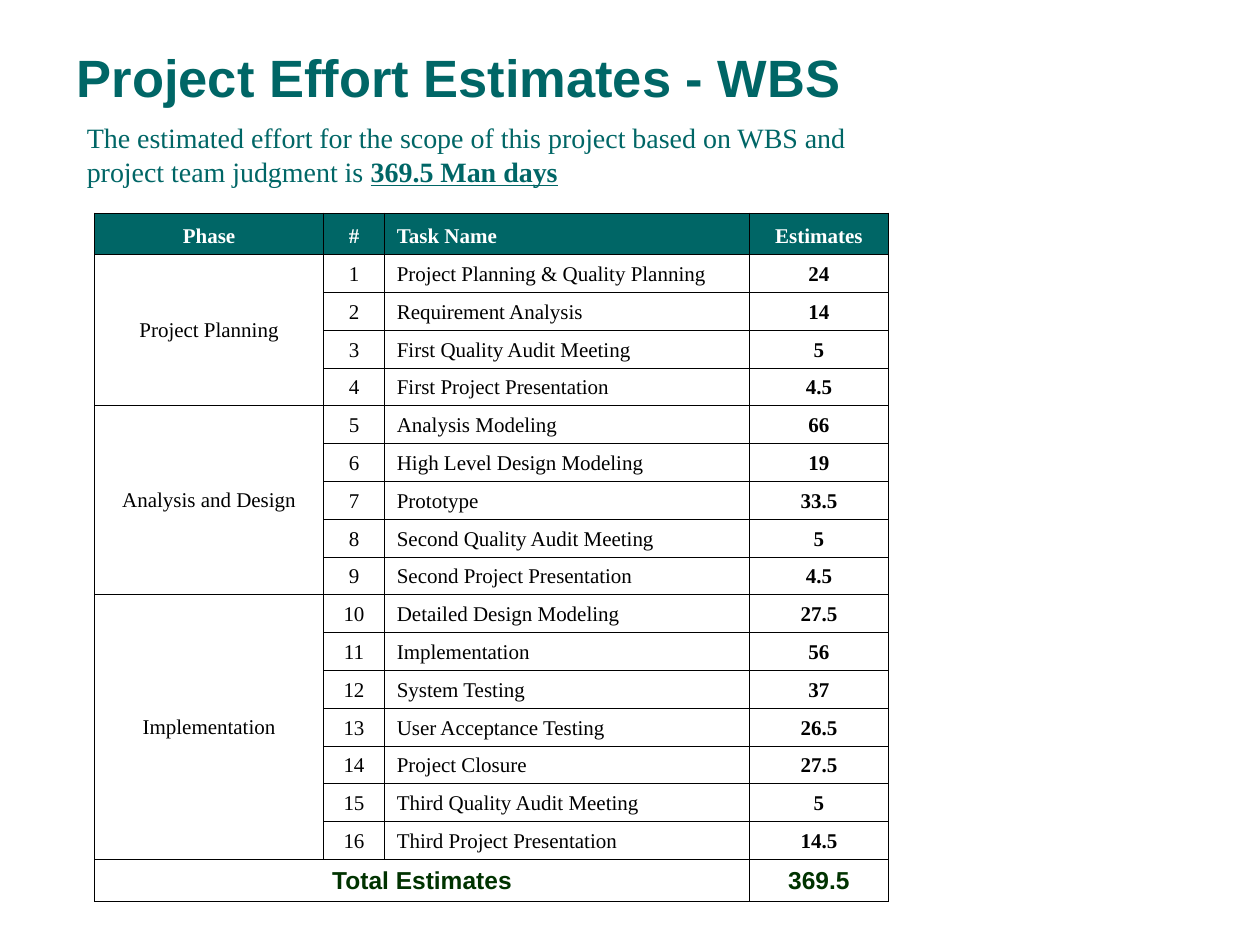
from lxml.etree import SubElement
from pptx import Presentation
from pptx.dml.color import RGBColor
from pptx.enum.text import MSO_ANCHOR, PP_ALIGN
from pptx.oxml.ns import qn
from pptx.util import Inches, Pt

COLORS = {"teal": "006666", "green": "003300", "black": "000000", "white": "FFFFFF"}
SERIF, SANS = "Times New Roman", "Arial"

phases = {
    "Project Planning": [
        ("Project Planning & Quality Planning", "24"),
        ("Requirement Analysis", "14"),
        ("First Quality Audit Meeting", "5"),
        ("First Project Presentation", "4.5"),
    ],
    "Analysis and Design": [
        ("Analysis Modeling", "66"),
        ("High Level Design Modeling", "19"),
        ("Prototype", "33.5"),
        ("Second Quality Audit Meeting", "5"),
        ("Second Project Presentation", "4.5"),
    ],
    "Implementation": [
        ("Detailed Design Modeling", "27.5"),
        ("Implementation", "56"),
        ("System Testing", "37"),
        ("User Acceptance Testing", "26.5"),
        ("Project Closure", "27.5"),
        ("Third Quality Audit Meeting", "5"),
        ("Third Project Presentation", "14.5"),
    ],
}


def style(paragraph, size, name, color, bold=False, align=PP_ALIGN.LEFT):
    paragraph.alignment = align
    font = paragraph.font
    font.size, font.name, font.bold = Pt(size), name, bold
    font.color.rgb = RGBColor.from_string(COLORS[color])


def fill_cell(cell, text, size=12, name=SERIF, color="black", bold=False,
              align=PP_ALIGN.CENTER, anchor=MSO_ANCHOR.BOTTOM):
    cell.text = text
    cell.vertical_anchor = anchor
    style(cell.text_frame.paragraphs[0], size, name, color, bold, align)


prs = Presentation()
prs.slide_width, prs.slide_height = Inches(10), Inches(7.5)
slide = prs.slides.add_slide(prs.slide_layouts[5])

title = slide.shapes.title
title.left, title.top, title.width, title.height = map(Inches, (0.51, 0.13, 8.58, 0.96))
title.text_frame.text = "Project Effort Estimates - WBS"
title.text_frame.vertical_anchor = MSO_ANCHOR.MIDDLE
style(title.text_frame.paragraphs[0], 30, SANS, "teal", bold=True)

task_count = sum(len(tasks) for tasks in phases.values())
total_row = task_count + 1
estimates = slide.shapes.add_table(
    total_row + 1, 4, Inches(0.75), Inches(1.69), Inches(6.3), Inches(5.47)).table
for column, width in zip(estimates.columns, (1.82, 0.48, 2.9, 1.1)):
    column.width = Inches(width)
for index, row in enumerate(estimates.rows):
    row.height = Inches(0.33 if index in (0, total_row) else 0.3)

for index, heading in enumerate(("Phase", "#", "Task Name", "Estimates")):
    fill_cell(estimates.cell(0, index), heading, color="white", bold=True,
              align=PP_ALIGN.LEFT if heading == "Task Name" else PP_ALIGN.CENTER)

number = 1
for phase, tasks in phases.items():
    phase_cell = estimates.cell(number, 0)
    phase_cell.merge(estimates.cell(number + len(tasks) - 1, 0))
    fill_cell(phase_cell, phase, anchor=MSO_ANCHOR.MIDDLE)
    for task, effort in tasks:
        fill_cell(estimates.cell(number, 1), str(number))
        fill_cell(estimates.cell(number, 2), task, align=PP_ALIGN.LEFT)
        fill_cell(estimates.cell(number, 3), effort, bold=True)
        number += 1

estimates.cell(total_row, 0).merge(estimates.cell(total_row, 2))
for index, text in ((0, "Total Estimates"), (3, "369.5")):
    fill_cell(estimates.cell(total_row, index), text, 14, SANS, "green", bold=True)

for row_index, row in enumerate(estimates.rows):
    for cell in row.cells:
        properties = cell._tc.get_or_add_tcPr()
        for side in ("a:lnL", "a:lnR", "a:lnT", "a:lnB"):
            border = SubElement(properties, qn(side), w=str(Pt(0.45)))
            border_fill = SubElement(border, qn("a:solidFill"))
            SubElement(border_fill, qn("a:srgbClr"), val=COLORS["black"])
        cell.fill.solid()
        cell.fill.fore_color.rgb = RGBColor.from_string(
            COLORS["teal" if row_index == 0 else "white"])

summary = slide.shapes.add_textbox(Inches(0.59), Inches(0.91), Inches(6.38), Inches(0.64))
summary.text_frame.word_wrap = True
summary_line = summary.text_frame.paragraphs[0]
style(summary_line, 16, SERIF, "teal")
summary_line.add_run().text = (
    "The estimated effort for the scope of this project based on WBS and "
    "project team judgment is ")
total_effort = summary_line.add_run()
total_effort.text = "369.5 Man days"
total_effort.font.bold = True
total_effort.font.underline = True

prs.save("out.pptx")
